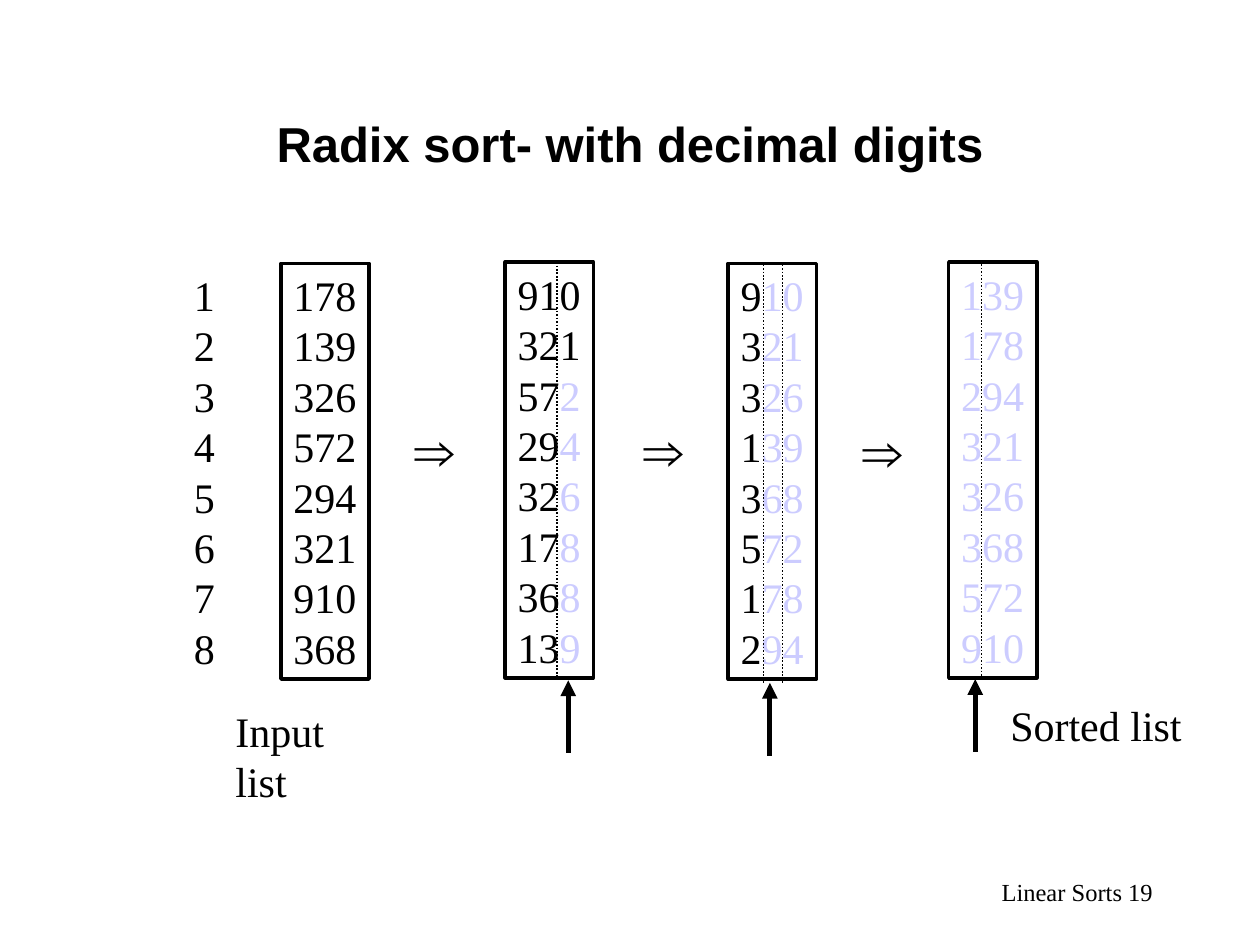
from dataclasses import dataclass

from lxml.etree import SubElement
from pptx import Presentation
from pptx.dml.color import RGBColor
from pptx.enum.dml import MSO_LINE
from pptx.enum.shapes import MSO_CONNECTOR, MSO_SHAPE
from pptx.enum.text import MSO_ANCHOR, MSO_AUTO_SIZE, PP_ALIGN
from pptx.oxml.ns import qn
from pptx.util import Inches, Pt


@dataclass(frozen=True)
class Theme:
    ink: RGBColor = RGBColor(0, 0, 0)
    sorted_digit: RGBColor = RGBColor(0xCC, 0xCC, 0xFF)
    serif: str = "Times New Roman"
    sans: str = "Arial"
    title: Pt = Pt(28)
    body: Pt = Pt(24)
    implies: Pt = Pt(32)
    footer: Pt = Pt(14)


THEME = Theme()
LIST_W, LIST_H = 0.7, 3.3

# Left, top, rows, count of dark leading digits in each row
LISTS = [
    (2.23, 2.09, "178 139 326 572 294 321 910 368", [3] * 8),
    (4.01, 2.08, "910 321 572 294 326 178 368 139", [3] * 2 + [2] * 6),
    (5.78, 2.09, "910 321 326 139 368 572 178 294", [1] * 8),
    (7.53, 2.08, "139 178 294 321 326 368 572 910", [0] * 8),
]
IMPLIES = [(3.19, 3.25), (5.01, 3.25), (6.75, 3.26)]
DIGIT_ARROWS = [(4.51, 5.4), (6.11, 5.42), (7.74, 5.39)]
DIGIT_RULES = [(4.42, 2.08), (6.06, 2.1), (6.21, 2.1), (7.79, 2.07)]


def style(p, size, font, align=PP_ALIGN.LEFT, bold=False):
    p.alignment = align
    p.font.size = size
    p.font.name = font
    p.font.bold = bold
    p.font.color.rgb = THEME.ink


def add_text(s, x, y, w, h, lines, size=THEME.body, font=THEME.serif,
             wrap=False, anchor=MSO_ANCHOR.TOP, **kwargs):
    tf = s.shapes.add_textbox(Inches(x), Inches(y), Inches(w), Inches(h)).text_frame
    tf.word_wrap = wrap
    tf.vertical_anchor = anchor
    tf.text = "\n".join(lines)
    for p in tf.paragraphs:
        style(p, size, font, **kwargs)


def add_list(s, x, y, rows, dark_counts):
    sp = s.shapes.add_shape(MSO_SHAPE.RECTANGLE, Inches(x), Inches(y),
                            Inches(LIST_W), Inches(LIST_H))
    sp.shadow.inherit = False
    sp.fill.background()
    sp.line.color.rgb = THEME.ink
    sp.line.width = Pt(2)
    tf = sp.text_frame
    tf.word_wrap = False
    tf.auto_size = MSO_AUTO_SIZE.SHAPE_TO_FIT_TEXT
    tf.vertical_anchor = MSO_ANCHOR.TOP
    for i, (number, dark) in enumerate(zip(rows.split(), dark_counts)):
        p = tf.add_paragraph() if i else tf.paragraphs[0]
        style(p, THEME.body, THEME.serif)
        parts = [(number[:dark], THEME.ink), (number[dark:], THEME.sorted_digit)]
        for text, color in parts:
            if text:
                r = p.add_run()
                r.text = text
                r.font.color.rgb = color


def add_vertical(s, x, y, length, width):
    c = s.shapes.add_connector(MSO_CONNECTOR.STRAIGHT, Inches(x), Inches(y),
                               Inches(x), Inches(y + length))
    c.line.color.rgb = THEME.ink
    c.line.width = Pt(width)
    SubElement(c._element.spPr, qn("a:effectLst"))
    return c


def add_digit_arrow(s, x, y):
    c = add_vertical(s, x, y, 0.58, 3)
    SubElement(c.line._get_or_add_ln(), qn("a:headEnd"), type="triangle")


def add_digit_rule(s, x, y):
    add_vertical(s, x, y, 3.33, 1).line.dash_style = MSO_LINE.ROUND_DOT


def main():
    prs = Presentation()
    prs.slide_width, prs.slide_height = Inches(10), Inches(7.5)
    s = prs.slides.add_slide(prs.slide_layouts[6])

    # Footer and title
    add_text(s, 7.17, 6.83, 2.08, 0.5, ["Linear Sorts 19"], THEME.footer,
             anchor=MSO_ANCHOR.MIDDLE, align=PP_ALIGN.RIGHT)
    add_text(s, 0.75, 0.67, 8.5, 0.92, ["Radix sort- with decimal digits"],
             THEME.title, THEME.sans, wrap=True, anchor=MSO_ANCHOR.MIDDLE,
             align=PP_ALIGN.CENTER, bold=True)

    # Row numbers and the list after each pass
    add_text(s, 1.44, 2.09, 0.37, LIST_H, [str(n) for n in range(1, 9)])
    for number_list in LISTS:
        add_list(s, *number_list)

    # Arrows to the digit sorted in each pass
    for x, y in DIGIT_ARROWS:
        add_digit_arrow(s, x, y)

    # Steps between lists and captions
    for x, y in IMPLIES:
        add_text(s, x, y, 0.55, 0.64, ["⇒"], THEME.implies, THEME.sans)
    add_text(s, 1.77, 5.55, 1.39, 0.5, ["Input list"])
    add_text(s, 7.92, 5.5, 1.56, 0.5, ["Sorted list"])

    # Dotted rules between digits
    for x, y in DIGIT_RULES:
        add_digit_rule(s, x, y)

    prs.save("out.pptx")


if __name__ == "__main__":
    main()
